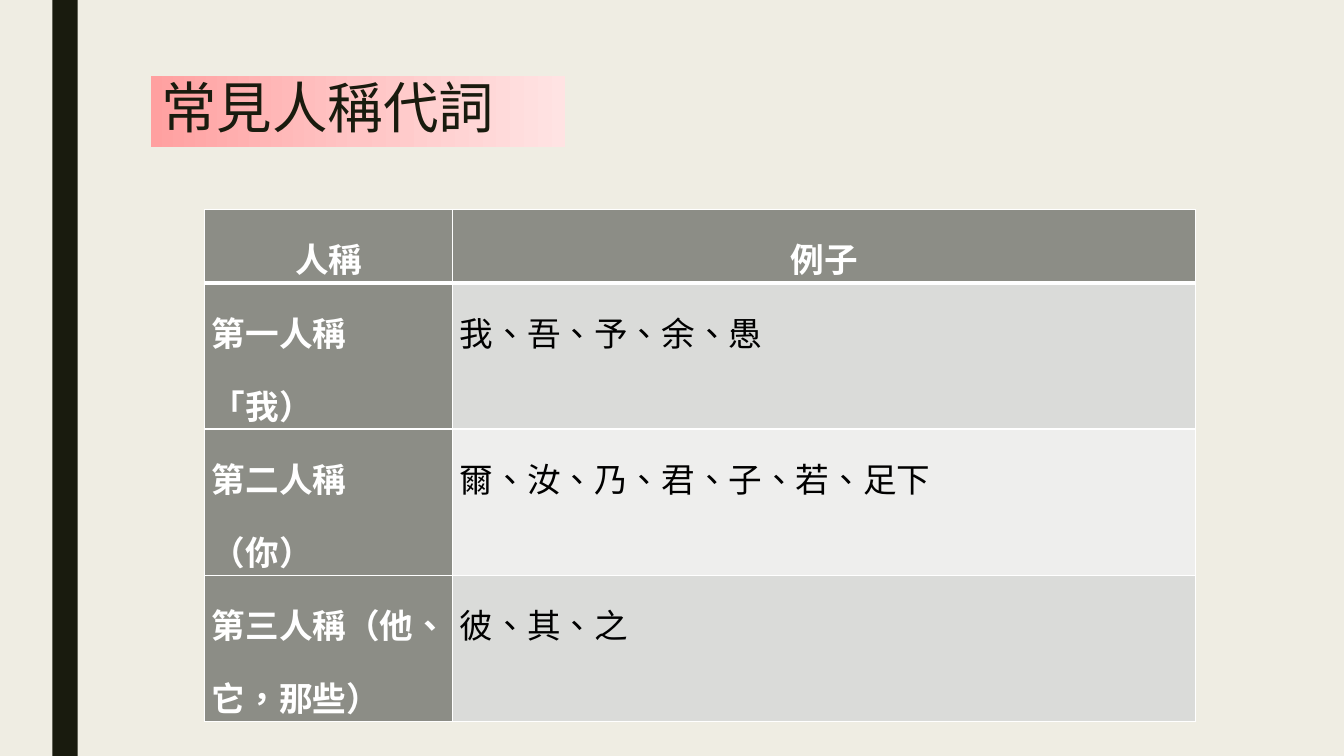
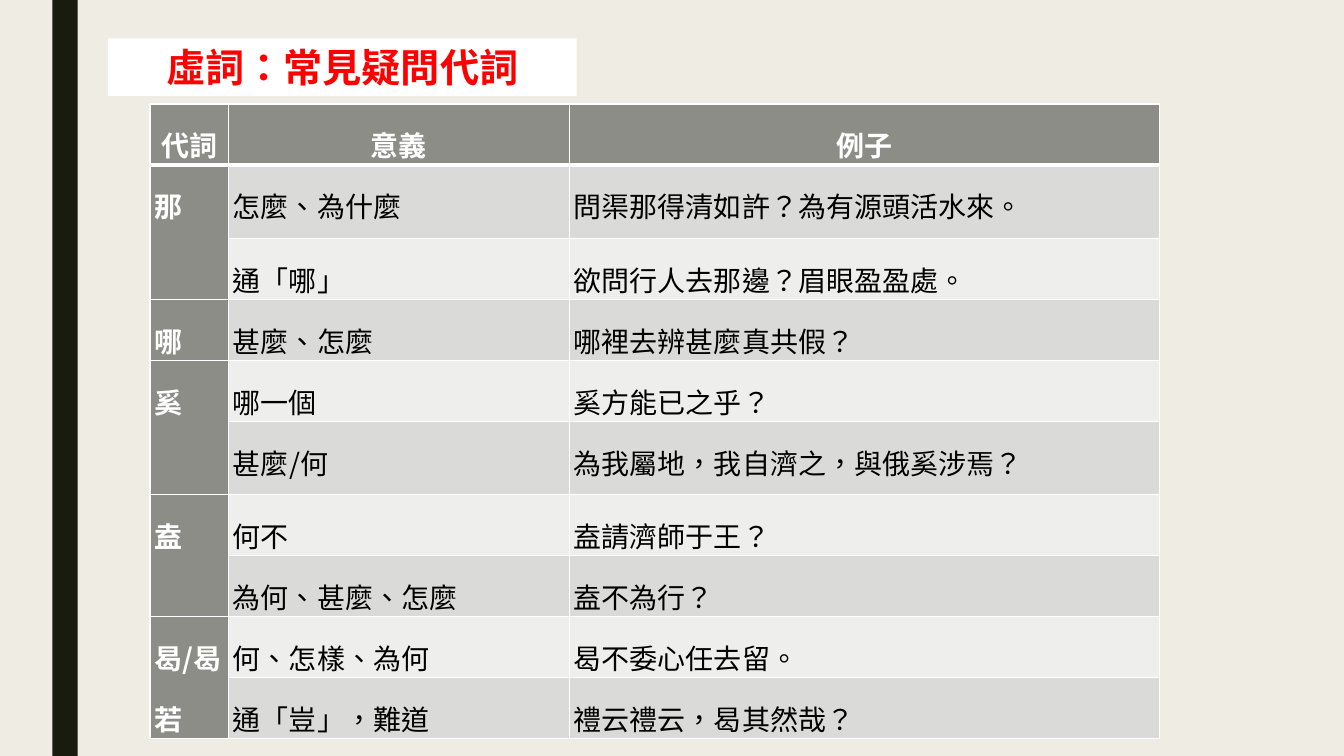
from copy import deepcopy

from pptx import Presentation
from pptx.dml.color import RGBColor
from pptx.enum.lang import MSO_LANGUAGE_ID
from pptx.enum.shapes import MSO_SHAPE
from pptx.enum.text import MSO_ANCHOR, MSO_AUTO_SIZE, PP_ALIGN
from pptx.oxml import parse_xml
from pptx.oxml.ns import nsdecls, qn
from pptx.util import Cm, Pt

ZH_TW = MSO_LANGUAGE_ID.TRADITIONAL_CHINESE
LEFT, CENTER = PP_ALIGN.LEFT, PP_ALIGN.CENTER
TOP, MIDDLE = MSO_ANCHOR.TOP, MSO_ANCHOR.MIDDLE
CJK = "Noto Sans CJK SC"
COLORS = {
    "paper": "EFEDE3", "ink": "191B0E", "head": "8C8D86", "odd": "DADBD9",
    "even": "EEEEED", "white": "FFFFFF", "black": "000000", "red": "FF0000",
    "pink": "FFA0A0", "light pink": "FFC5C5", "pale pink": "FFE3E3",
}


def rgb(name):
    return RGBColor.from_string(COLORS[name])


def write(tf, text, color, align, spacing, **font):
    tf.text = text
    p = tf.paragraphs[0]
    p.alignment, p.line_spacing = align, spacing
    f = p.runs[0].font
    for key, value in font.items():
        setattr(f, key, value)
    f.color.rgb = rgb(color)
    f.language_id = ZH_TW
    f._element.find(qn("a:latin")).addnext(
        parse_xml(f'<a:ea {nsdecls("a")} typeface="{CJK}"/>'))
    return p


prs = Presentation()
prs.slide_width, prs.slide_height = Cm(33.87), Cm(19.05)
layout = prs.slide_layouts[5]

# Shared background and side bar
master = prs.slide_master
master.background.fill.solid()
master.background.fill.fore_color.rgb = rgb("paper")

SLIDES = [
    {
        "title": "常見人稱代詞", "title_box": (3.81, 1.91, 10.44, 1.8),
        "title_fill": ["pink", "light pink", "pale pink"], "anchor": TOP,
        "title_text": {"color": "ink", "align": LEFT, "spacing": 0.89,
                       "size": Pt(39.6), "name": CJK, "bold": False},
        "at": (5.16, 5.28), "cols": [6.25, 18.72],
        "heights": [1.45] + [3.1] * 3, "inset": 0.18, "after": 0,
        "font": {"size": Pt(24), "name": "Noto Sans"},
        "rows": [
            ["人稱", "例子"],
            ["第一人稱「我）", "我、吾、予、余、愚"],
            ["第二人稱（你）", "爾、汝、乃、君、子、若、足下"],
            ["第三人稱（他、它，那些）", "彼、其、之"],
        ],
    },
    {
        "title": "虛詞：常見疑問代詞", "title_box": (2.72, 0.97, 11.81, 1.45),
        "title_fill": ["white"], "anchor": MIDDLE,
        "title_text": {"color": "red", "align": CENTER, "spacing": 1.0,
                       "size": Pt(28), "name": "Calibri", "bold": True},
        "at": (3.78, 2.62), "cols": [1.98, 8.59, 14.88],
        "heights": [1.4, 1.85] + [1.22] * 3 + [1.85] + [1.22] * 4,
        "inset": 0.11, "after": 12,
        "font": {"size": Pt(20), "name": CJK},
        # An empty first cell belongs to the cell above
        "rows": [
            ["代詞", "意義", "例子"],
            ["那", "怎麼、為什麼", "問渠那得清如許？為有源頭活水來。"],
            ["", "通「哪」", "欲問行人去那邊？眉眼盈盈處。"],
            ["哪", "甚麼、怎麼", "哪裡去辨甚麼真共假？"],
            ["奚", "哪一個", "奚方能已之乎？"],
            ["", "甚麼/何", "為我屬地，我自濟之，與俄奚涉焉？"],
            ["盍", "何不", "盍請濟師于王？"],
            ["", "為何、甚麼、怎麼", "盍不為行？"],
            ["曷/曷若", "何、怎樣、為何", "曷不委心任去留。"],
            ["", "通「豈」，難道", "禮云禮云，曷其然哉？"],
        ],
    },
]

for number, d in enumerate(SLIDES):
    s = prs.slides.add_slide(layout)

    if number == 0:
        bar = s.shapes.add_shape(MSO_SHAPE.RECTANGLE, Cm(1.32), 0, Cm(0.64), prs.slide_height)
        bar.shadow.inherit = False
        bar.fill.solid()
        bar.fill.fore_color.rgb = rgb("ink")
        bar.line.fill.background()
        master.shapes.element.insert(2, bar.element)

    # Title
    title = s.shapes.title
    title.left, title.top, title.width, title.height = map(Cm, d["title_box"])
    fills = d["title_fill"]
    if len(fills) == 1:
        title.fill.solid()
        title.fill.fore_color.rgb = rgb(fills[0])
    else:
        title.fill.gradient()
        title.fill.gradient_angle = 0
        first = title.element.spPr.find(".//" + qn("a:gs"))
        first.addnext(deepcopy(first))
        for i, (stop, name) in enumerate(zip(title.fill.gradient_stops, fills)):
            stop.color.rgb = rgb(name)
            stop.position = i / (len(fills) - 1)
    tf = title.text_frame
    tf.word_wrap, tf.auto_size = True, MSO_AUTO_SIZE.NONE
    tf.vertical_anchor = d["anchor"]
    write(tf, d["title"], **d["title_text"])

    # Table
    rows, cols = d["rows"], d["cols"]
    table = s.shapes.add_table(len(rows), len(cols), *map(Cm, d["at"]),
                               Cm(sum(cols)), Cm(sum(d["heights"]))).table
    table.first_col = True
    for column, width in zip(table.columns, cols):
        column.width = Cm(width)
    for row, height in zip(table.rows, d["heights"]):
        row.height = Cm(height)

    for i, texts in enumerate(rows):
        for j, text in enumerate(texts):
            cell = table.cell(i, j)
            heading = i == 0 or j == 0
            cell.margin_left = cell.margin_right = Cm(d["inset"])
            cell.margin_top = cell.margin_bottom = 0
            # The rule under the header row is thicker
            thick = {0: "B", 1: "T"}.get(i)
            for side in "LRTB":
                width = Pt(3 if side == thick else 1)
                cell._tc.get_or_add_tcPr().append(parse_xml(
                    f'<a:ln{side} {nsdecls("a")} w="{width}"><a:solidFill>'
                    f'<a:srgbClr val="{COLORS["white"]}"/></a:solidFill></a:ln{side}>'))
            cell.fill.solid()
            cell.fill.fore_color.rgb = rgb("head" if heading else "odd" if i % 2 else "even")
            if text:
                p = write(cell.text_frame, text, "white" if heading else "black",
                          CENTER if i == 0 else LEFT, 1.5, bold=heading, **d["font"])
                p.space_after = Pt(d["after"])
            else:
                table.cell(i - 1, j).merge(cell)

prs.save("out.pptx")
